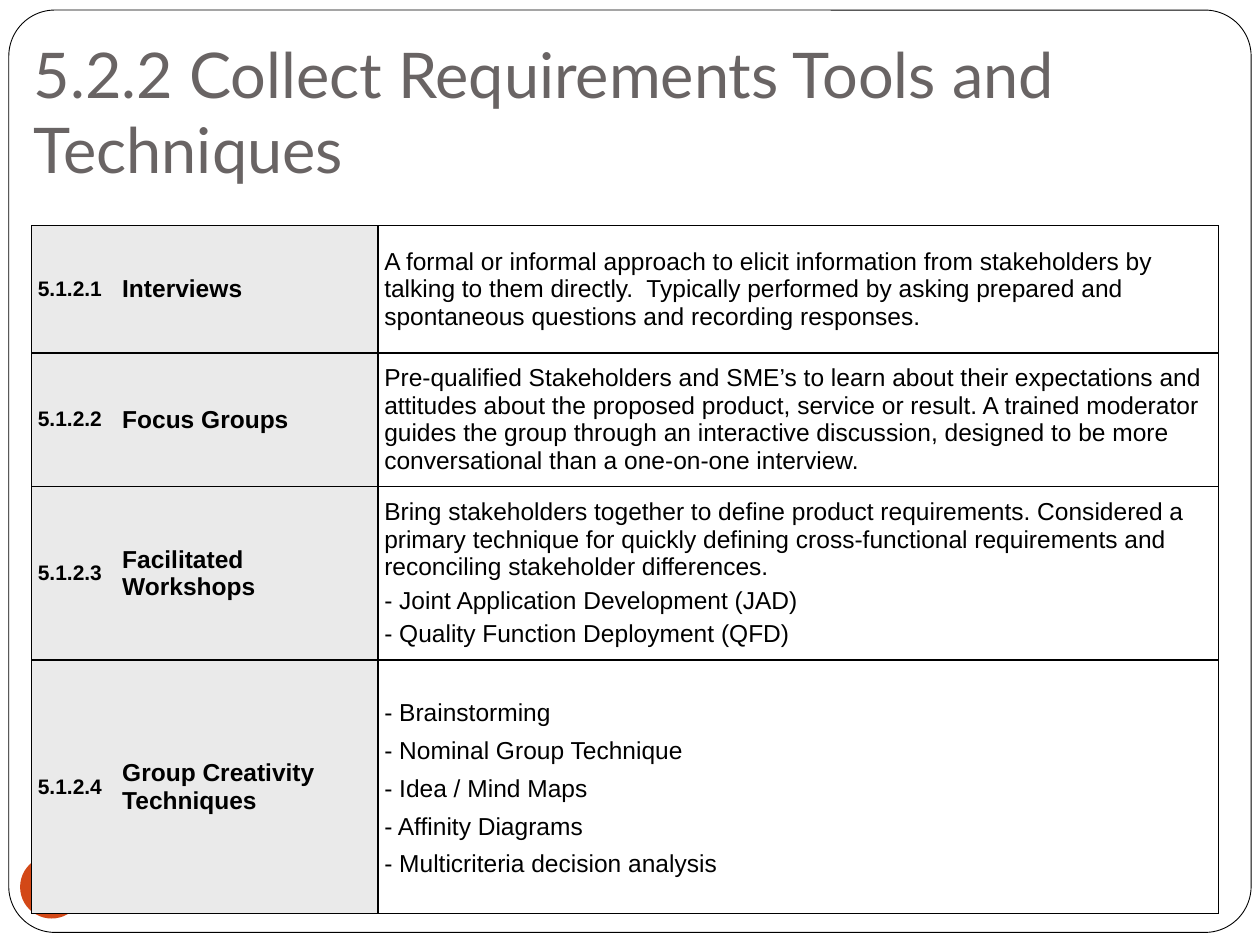
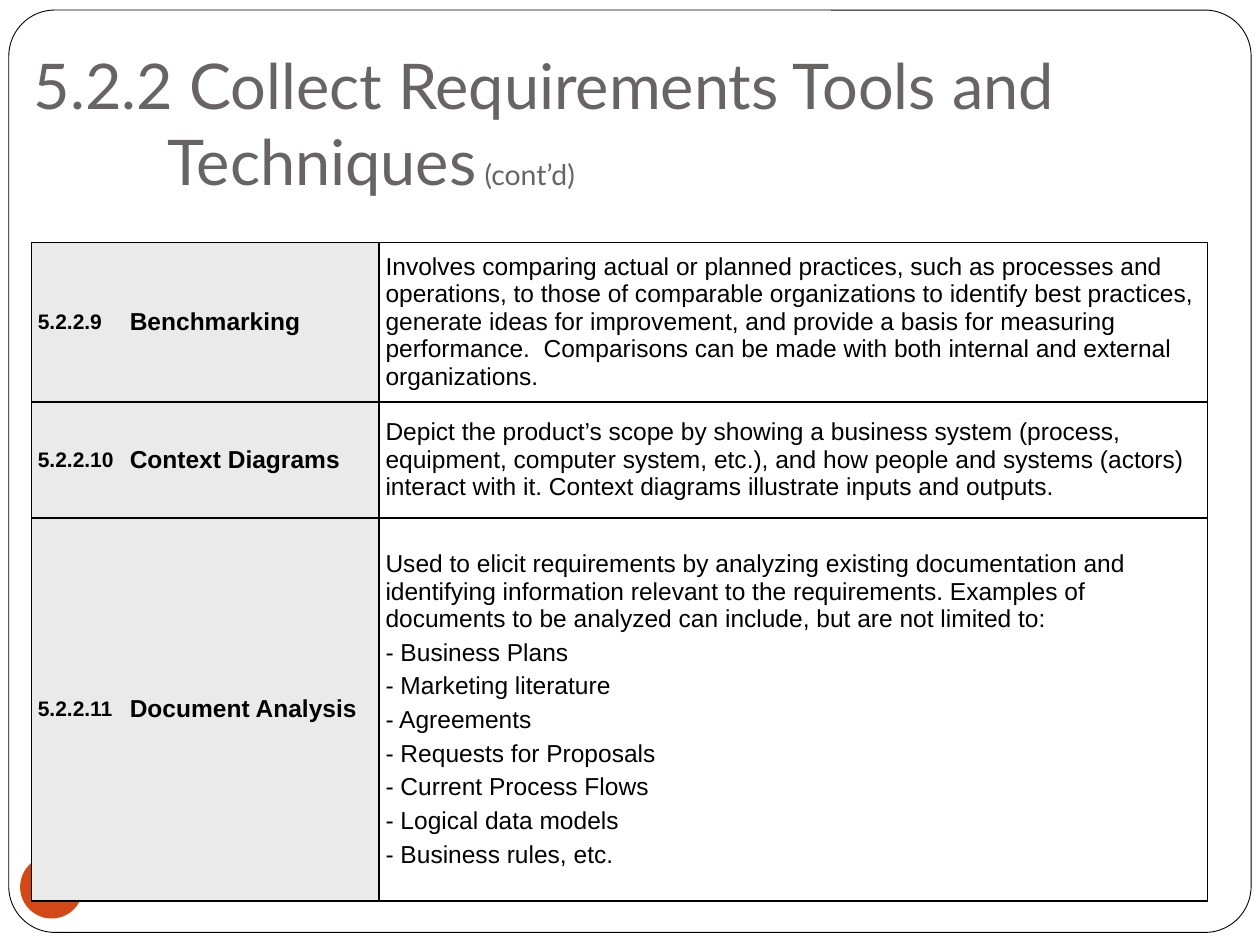
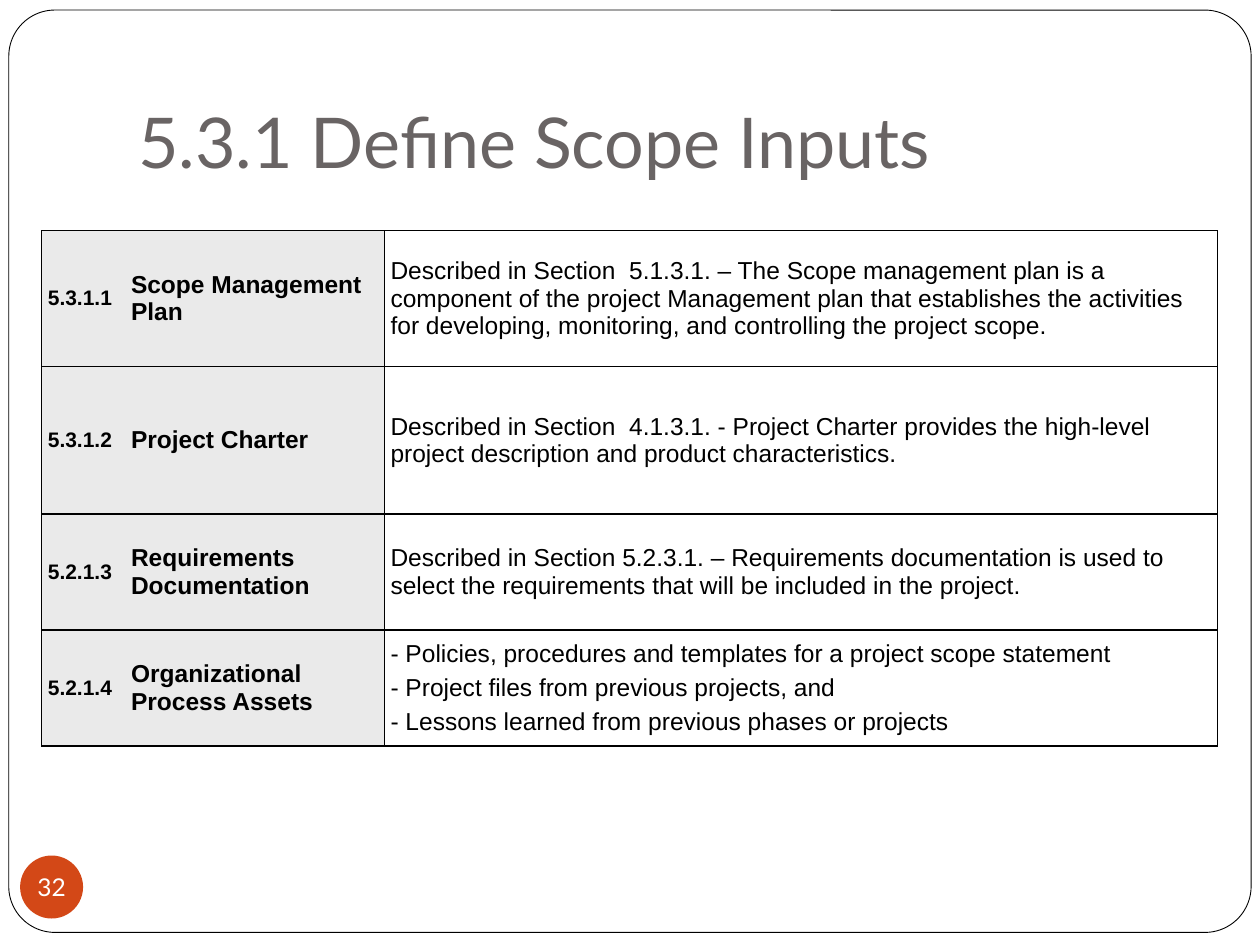
from pptx import Presentation
from pptx.dml.color import RGBColor as RGB
from pptx.enum.shapes import MSO_SHAPE as SHAPE
from pptx.enum.text import MSO_ANCHOR as ANCHOR, PP_ALIGN as ALIGN
from pptx.oxml import parse_xml
from pptx.oxml.ns import nsdecls
from pptx.util import Inches, Pt

THEME = {
    "ink": "000000", "title": "696464", "accent": "D34817", "label": "EAEAEA", "paper": "FFFFFF",
    "title_font": "Lato", "body_font": "Arial",
    "code_size": 12, "body_size": 14, "page_size": 14,
    "thin": 0.5, "thick": 1, "gap": 3.5, "hang": 0.25, "pad": 0.05,
}
WIDTH, HEIGHT = 10, 7.5
FRAME = (0.07, 0.08, 9.86, 7.32)
BADGE = (0.16, 6.79, 0.5, 0.5)
TOOLS = "5.2.2 Collect Requirements Tools and Techniques"

SLIDES = [
    {
        "title": [(TOOLS, 36)], "title_box": (0.17, 1.08, 9.5, 0.5), "title_hang": 0,
        "page": "", "table_at": (0.25, 1.79), "foot": "thin",
        "cols": (0.67, 2.08, 6.67), "heights": (1.01, 1.06, 1.38, 2.01),
        "rows": [
            ("5.1.2.1", "Interviews", [
                "A formal or informal approach to elicit information from stakeholders by talking to them directly.  Typically performed by asking prepared and spontaneous questions and recording responses."]),
            ("5.1.2.2", "Focus Groups", [
                "Pre-qualified Stakeholders and SME’s to learn about their expectations and attitudes about the proposed product, service or result. A trained moderator guides the group through an interactive discussion, designed to be more conversational than a one-on-one interview."]),
            ("5.1.2.3", "Facilitated Workshops", [
                "Bring stakeholders together to define product requirements. Considered a primary technique for quickly defining cross-functional requirements and reconciling stakeholder differences.",
                "- Joint Application Development (JAD)",
                "- Quality Function Deployment (QFD)"]),
            ("5.1.2.4", "Group Creativity Techniques", [
                "- Brainstorming",
                "- Nominal Group Technique",
                "- Idea / Mind Maps",
                "- Affinity Diagrams",
                "- Multicriteria decision analysis"], 1.15),
        ],
    },
    {
        "title": [(TOOLS, 36), (" ", 18), ("(cont’d)", 16.2)],
        "title_box": (0.17, 1.17, 9.5, 0.5), "title_hang": 1.06,
        "page": "", "table_at": (0.25, 1.92), "foot": "thick",
        "cols": (0.73, 2.03, 6.57), "heights": (1.27, 0.92, 3.04),
        "rows": [
            ("5.2.2.9", "Benchmarking", [
                "Involves comparing actual or planned practices, such as processes and operations, to those of comparable organizations to identify best practices, generate ideas for improvement, and provide a basis for measuring performance.  Comparisons can be made with both internal and external organizations."]),
            ("5.2.2.10", "Context Diagrams", [
                "Depict the product’s scope by showing a business system (process, equipment, computer system, etc.), and how people and systems (actors) interact with it. Context diagrams illustrate inputs and outputs."]),
            ("5.2.2.11", "Document Analysis", [
                "Used to elicit requirements by analyzing existing documentation and identifying information relevant to the requirements. Examples of documents to be analyzed can include, but are not limited to:",
                "- Business Plans",
                "- Marketing literature",
                "- Agreements",
                "- Requests for Proposals",
                "- Current Process Flows",
                "- Logical data models",
                "- Business rules, etc."]),
        ],
    },
    {
        "title": [("5.3.1 Define Scope Inputs", 40)], "title_box": (1, 0.3, 8.5, 1.25), "title_hang": 0,
        "page": "32", "table_at": (0.33, 1.83), "foot": "thick",
        "cols": (0.66, 2.06, 6.61), "heights": (1.08, 1.17, 0.92, 0.92),
        "rows": [
            ("5.3.1.1", "Scope Management Plan", [
                "Described in Section  5.1.3.1. – The Scope management plan is a component of the project Management plan that establishes the activities for developing, monitoring, and controlling the project scope."]),
            ("5.3.1.2", "Project Charter", [
                "Described in Section  4.1.3.1. - Project Charter provides the high-level project description and product characteristics."]),
            ("5.2.1.3", "Requirements Documentation", [
                "Described in Section 5.2.3.1. – Requirements documentation is used to select the requirements that will be included in the project."]),
            ("5.2.1.4", "Organizational Process Assets", [
                "- Policies, procedures and templates for a project scope statement",
                "- Project files from previous projects, and",
                "- Lessons learned from previous phases or projects"]),
        ],
    },
]


def color(name):
    return RGB.from_string(THEME[name])


def set_all(obj, values):
    for name, value in values.items():
        setattr(obj, name, value)


def add_run(p, text, size, font, ink, bold=False):
    r = p.add_run()
    r.text = text
    set_all(r.font, {"size": Pt(size), "name": THEME[font], "bold": bold})
    r.font.color.rgb = color(ink)


def hang(p, inches):
    pPr = p._p.get_or_add_pPr()
    pPr.set("marL", str(Inches(inches)))
    pPr.set("indent", str(-Inches(inches)))


def set_frame(tf, anchor, pads, wrap=True):
    left, top, right, bottom = map(Inches, pads)
    set_all(tf, {"word_wrap": wrap, "vertical_anchor": anchor, "margin_left": left,
                 "margin_top": top, "margin_right": right, "margin_bottom": bottom})


def add_shape(slide, kind, box, fill, line=None):
    sp = slide.shapes.add_shape(kind, *map(Inches, box))
    sp.shadow.inherit = False
    sp.fill.solid()
    sp.fill.fore_color.rgb = color(fill)
    if line:
        sp.line.color.rgb = color(line)
        sp.line.width = Pt(THEME["thin"])
    else:
        sp.line.fill.background()
    return sp


def add_title(slide, spec):
    tf = slide.shapes.add_textbox(*map(Inches, spec["title_box"])).text_frame
    set_frame(tf, ANCHOR.BOTTOM, (0.1, 0.05, 0.1, 0.1))
    p = tf.paragraphs[0]
    if spec["title_hang"]:
        hang(p, spec["title_hang"])
    for text, size in spec["title"]:
        add_run(p, text, size, "title_font", "title")


def add_badge(slide, page):
    sp = add_shape(slide, SHAPE.OVAL, BADGE, "accent")
    if page:
        set_frame(sp.text_frame, ANCHOR.MIDDLE, (0, 0, 0, 0), False)
        p = sp.text_frame.paragraphs[0]
        p.alignment = ALIGN.CENTER
        add_run(p, page, THEME["page_size"], "title_font", "paper")


def set_borders(cell, weights):
    tcPr = cell._tc.get_or_add_tcPr()
    for side, weight in zip("LRTB", weights):
        if weight:
            ink = f'<a:solidFill><a:srgbClr val="{THEME["ink"]}"/></a:solidFill>'
            width = Pt(THEME[weight])
        else:
            ink, width = "<a:noFill/>", 0
        tcPr.append(parse_xml(f'<a:ln{side} {nsdecls("a")} w="{width}">{ink}</a:ln{side}>'))


def fill_cell(cell, lines, size, bold, spacing):
    pad = Inches(THEME["pad"])
    set_all(cell, {"vertical_anchor": ANCHOR.MIDDLE, "margin_left": pad, "margin_right": pad,
                   "margin_top": pad, "margin_bottom": pad})
    tf = cell.text_frame
    for i, text in enumerate(lines):
        p = tf.add_paragraph() if i else tf.paragraphs[0]
        if text.startswith("- "):
            hang(p, THEME["hang"])
        if spacing:
            p.line_spacing = spacing
        if i:
            p.space_before = Pt(THEME["gap"])
        add_run(p, text, size, "body_font", "ink", bold)


def add_grid(slide, spec):
    cols, heights, rows = spec["cols"], spec["heights"], spec["rows"]
    box = (*spec["table_at"], sum(cols), sum(heights))
    table = slide.shapes.add_table(len(rows), len(cols), *map(Inches, box)).table
    set_all(table, {"first_row": False, "horz_banding": False})
    for column, width in zip(table.columns, cols):
        column.width = Inches(width)
    for row, height in zip(table.rows, heights):
        row.height = Inches(height)
    sides = [("thin", None), (None, "thick"), ("thick", "thin")]
    for i, (code, name, text, *spacing) in enumerate(rows):
        top = "thick" if i else "thin"
        bottom = spec["foot"] if i == len(rows) - 1 else "thick"
        parts = [([code], THEME["code_size"]), ([name], THEME["body_size"]), (text, THEME["body_size"])]
        for j, (lines, size) in enumerate(parts):
            cell = table.cell(i, j)
            is_label = j < 2
            fill_cell(cell, lines, size, is_label, spacing[0] if spacing and not is_label else None)
            set_borders(cell, (*sides[j], top, bottom))
            if is_label:
                cell.fill.solid()
                cell.fill.fore_color.rgb = color("label")
            else:
                cell.fill.background()


def main():
    prs = Presentation()
    set_all(prs, {"slide_width": Inches(WIDTH), "slide_height": Inches(HEIGHT)})
    for spec in SLIDES:
        slide = prs.slides.add_slide(prs.slide_layouts[6])
        add_shape(slide, SHAPE.ROUNDED_RECTANGLE, FRAME, "paper", "ink").adjustments[0] = 0.05
        add_title(slide, spec)
        add_badge(slide, spec["page"])
        add_grid(slide, spec)
    prs.save("out.pptx")


if __name__ == "__main__":
    main()
